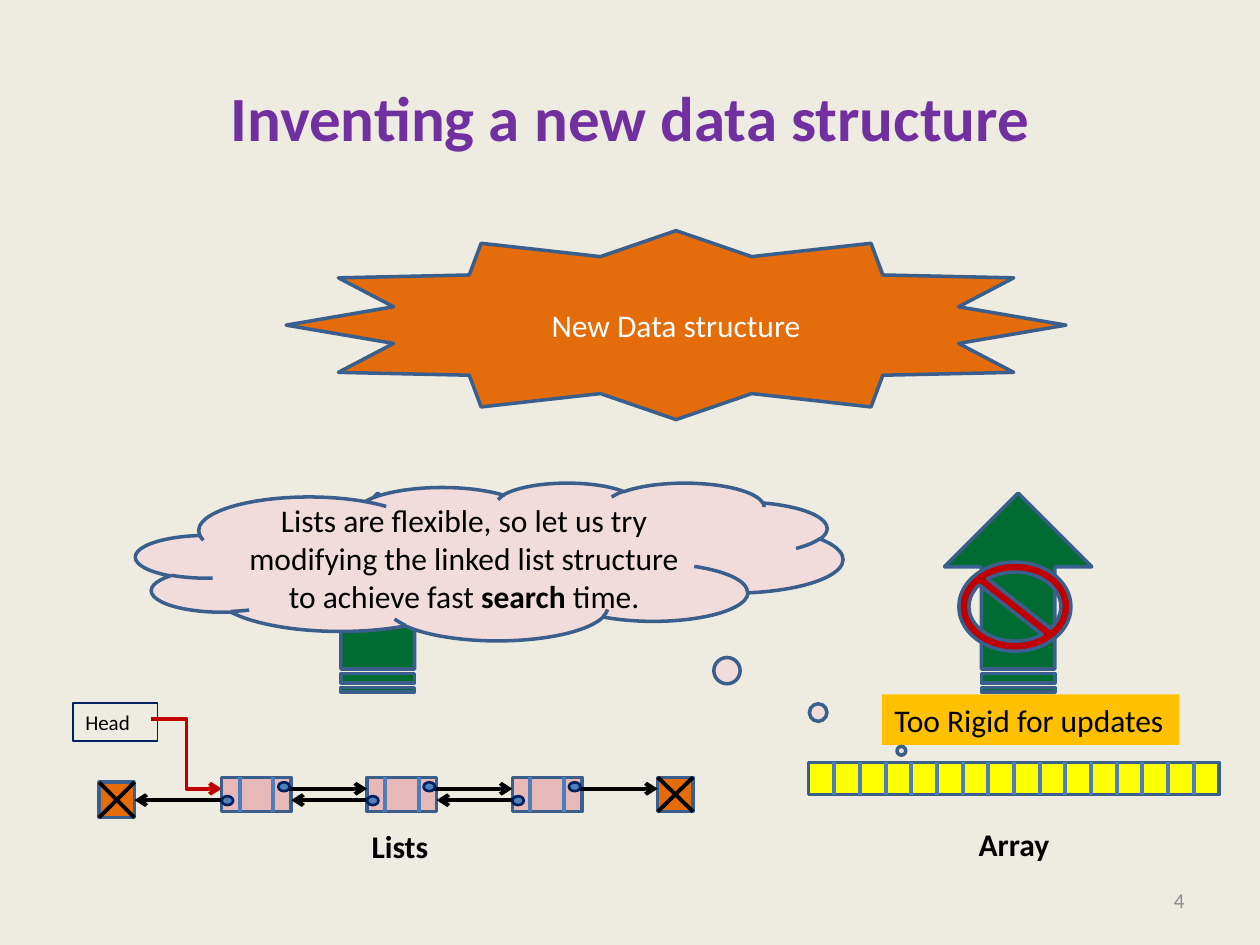
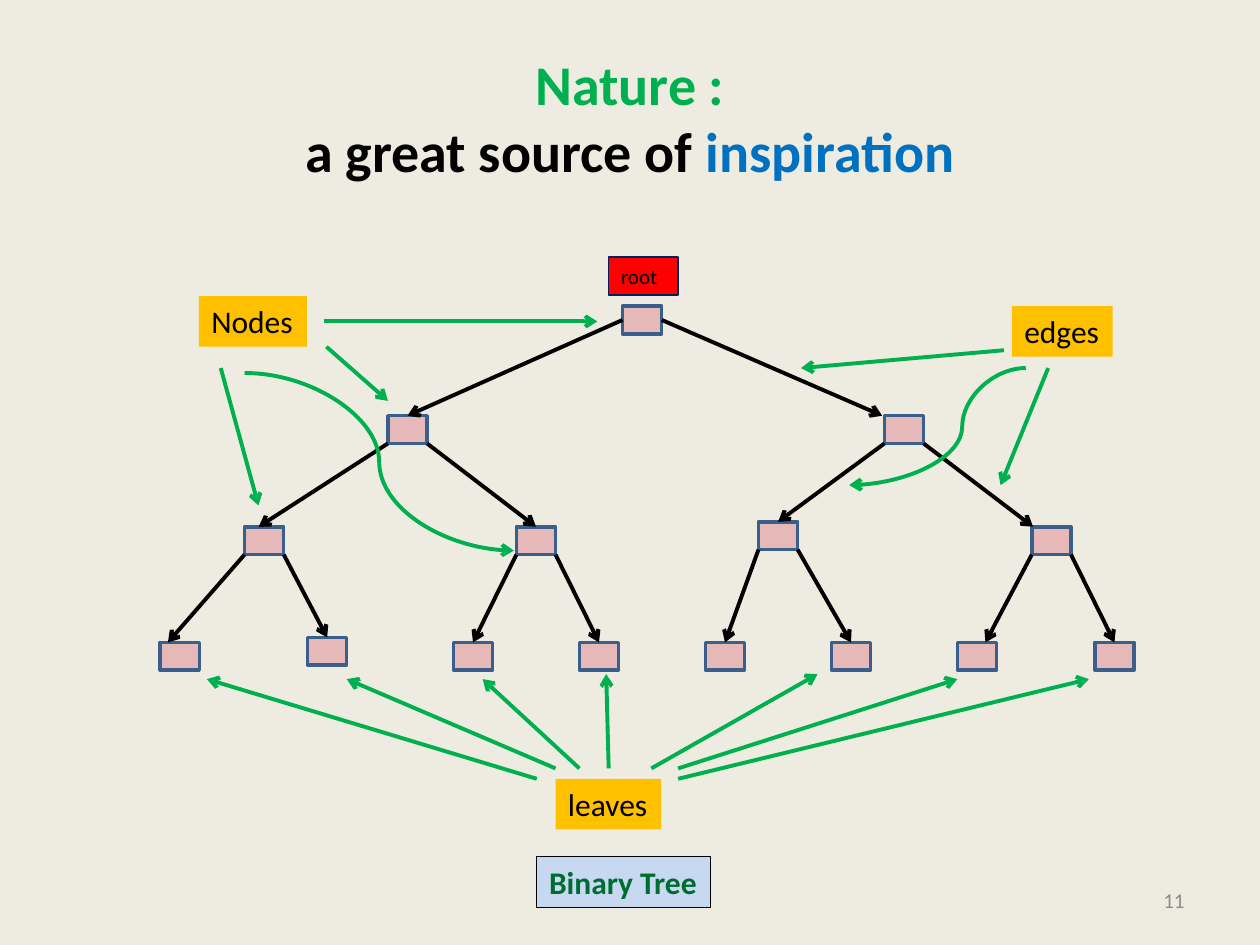
from dataclasses import dataclass
from typing import Any, NamedTuple, Optional

from pptx import Presentation
from pptx.dml.color import RGBColor
from pptx.enum.shapes import MSO_CONNECTOR, MSO_SHAPE
from pptx.enum.text import MSO_ANCHOR, MSO_AUTO_SIZE, PP_ALIGN
from pptx.oxml.ns import qn
from pptx.util import Cm, Pt
from lxml.etree import SubElement


@dataclass(frozen=True)
class Theme:
    font: str = "Calibri"
    background: str = "EEECE1"
    black: str = "000000"
    white: str = "FFFFFF"
    purple: str = "7030A0"
    green: str = "00B050"
    dark_green: str = "006C31"
    blue: str = "0070C0"
    light_blue: str = "C6D9F1"
    dot_blue: str = "4F81BD"
    divider: str = "4B7EBC"
    outline: str = "3A5F8C"
    navy: str = "002060"
    grey: str = "8C8C8C"
    orange: str = "E46C0A"
    amber: str = "FFC000"
    yellow: str = "FFFF00"
    red: str = "FF0000"
    dark_red: str = "C00000"
    pink: str = "E6B9B8"
    pale_pink: str = "F2DCDB"
    title: float = 36
    title_small: float = 32
    body: float = 18
    small: float = 12
    arrow_width: float = 2.25
    outline_width: float = 2
    dot_width: float = 1.5
    thin: float = 0.75


T = Theme()


class Box(NamedTuple):
    """Left, top, width and height in centimetres."""
    x: float
    y: float
    w: float
    h: float


class Run(NamedTuple):
    text: str
    color: str = T.black
    size: float = T.body
    bold: bool = False


@dataclass
class Label:
    box: Box
    run: Run
    fill: Optional[str] = None
    line: Optional[str] = None


class Arrow(NamedTuple):
    """End points in centimetres; bend is set for a curved arrow."""
    x1: float
    y1: float
    x2: float
    y2: float
    bend: Optional[float] = None


class TreeNode(NamedTuple):
    """Corner of a node, and how far off its top middle the edge arrives."""
    x: float
    y: float
    shift: float = 0


def set_all(obj: Any, values: dict[str, Any]) -> None:
    for name, value in values.items():
        setattr(obj, name, value)


def rgb(color: str) -> RGBColor:
    return RGBColor.from_string(color)


def cm(*values: float) -> list[Cm]:
    return [Cm(v) for v in values]


def add_runs(p: Any, *runs: Run) -> None:
    for run in runs:
        r = p.add_run()
        r.text = run.text
        set_all(r.font, {"name": T.font, "size": Pt(run.size), "bold": run.bold})
        r.font.color.rgb = rgb(run.color)


def paint(sp: Any, fill: Optional[str], line: Optional[str], width: float) -> None:
    if fill:
        sp.fill.solid()
        sp.fill.fore_color.rgb = rgb(fill)
    else:
        sp.fill.background()
    if line:
        sp.line.color.rgb = rgb(line)
        sp.line.width = Pt(width)
    else:
        sp.line.fill.background()


def add_figure(s: Any, kind: MSO_SHAPE, box: Box, fill: str, runs: tuple[Run, ...] = (),
               line: str = T.outline, width: float = T.outline_width,
               adjust: tuple[float, ...] = (), rotation: float = 0) -> Any:
    sp = s.shapes.add_shape(kind, *cm(*box))
    set_all(sp, {"rotation": rotation})
    sp.shadow.inherit = False
    paint(sp, fill, line, width)
    for i, value in enumerate(adjust):
        sp.adjustments[i] = value
    if runs:
        tf = sp.text_frame
        set_all(tf, {"word_wrap": True, "vertical_anchor": MSO_ANCHOR.MIDDLE})
        tf.paragraphs[0].alignment = PP_ALIGN.CENTER
        add_runs(tf.paragraphs[0], *runs)
    return sp


def add_label(s: Any, label: Label) -> None:
    sp = s.shapes.add_textbox(*cm(*label.box))
    paint(sp, label.fill, label.line, T.thin)
    set_all(sp.text_frame, {"word_wrap": False, "auto_size": MSO_AUTO_SIZE.SHAPE_TO_FIT_TEXT})
    add_runs(sp.text_frame.paragraphs[0], label.run)


def add_line(s: Any, a: Arrow, color: str = T.black, head: bool = True,
             kind: MSO_CONNECTOR = MSO_CONNECTOR.STRAIGHT) -> Any:
    if a.bend is not None:
        kind = MSO_CONNECTOR.CURVE
    c = s.shapes.add_connector(kind, *cm(a.x1, a.y1, a.x2, a.y2))
    c.line.color.rgb = rgb(color)
    c.line.width = Pt(T.arrow_width)
    spPr = c._element.spPr
    if head:
        SubElement(spPr.find(qn("a:ln")), qn("a:tailEnd"), type="arrow")
    if a.bend is not None:
        guides = spPr.find(qn("a:prstGeom")).get_or_add_avLst()
        SubElement(guides, qn("a:gd"), name="adj1", fmla=f"val {round(a.bend * 100000)}")
    SubElement(spPr, qn("a:effectLst"))
    return c


def add_slide(prs: Any, number: str, *title_lines: tuple[Run, ...]) -> Any:
    s = prs.slides.add_slide(prs.slide_layouts[5])
    title = s.shapes.title
    left, top, width, height = cm(1.27, 0.76, 22.86, 3.18)
    set_all(title, {"left": left, "top": top, "width": width, "height": height})
    title.text_frame.vertical_anchor = MSO_ANCHOR.MIDDLE
    p = title.text_frame.paragraphs[0]
    p.alignment = PP_ALIGN.CENTER
    for i, runs in enumerate(title_lines):
        if i:
            p.add_line_break()
        add_runs(p, *runs)

    tf = s.shapes.add_textbox(*cm(18.2, 17.65, 5.93, 1.01)).text_frame
    set_all(tf, {"word_wrap": True, "vertical_anchor": MSO_ANCHOR.MIDDLE})
    tf.paragraphs[0].alignment = PP_ALIGN.RIGHT
    add_runs(tf.paragraphs[0], Run(number, T.grey, T.small))
    return s


def draw_array(s: Any) -> None:
    box, cells = Box(16.3, 15.37, 8.28, 0.65), 16
    add_figure(s, MSO_SHAPE.RECTANGLE, box, T.yellow)
    for i in range(1, cells):
        x = box.x + i * box.w / cells
        add_line(s, Arrow(x, box.y, x, box.y + box.h), T.divider, head=False)
    add_label(s, Label(Box(19.48, 16.51, 1.96, 1.02), Run("Array", bold=True)))


def draw_linked_list(s: Any) -> None:
    top, width, height, pitch = 15.67, 1.4, 0.69, 2.93
    next_y, prev_y = 15.9, 16.13
    starts = [4.47 + pitch * i for i in range(3)]
    ends = [Box(2, 15.77, 0.71, 0.71), Box(starts[-1] + pitch, top, 0.71, height)]

    add_line(s, Arrow(3.05, 14.5, starts[0], next_y), T.dark_red, kind=MSO_CONNECTOR.ELBOW)
    add_label(s, Label(Box(1.47, 14.17, 1.7, 0.77), Run("Head", size=T.small), line=T.navy))
    for x in starts:
        add_figure(s, MSO_SHAPE.RECTANGLE, Box(x, top, width, height), T.pink)
        for dx in (0.36, 1.04):
            add_line(s, Arrow(x + dx, top, x + dx, top + height), T.divider, head=False)
    for b in ends:
        add_figure(s, MSO_SHAPE.RECTANGLE, b, T.orange)
        add_line(s, Arrow(b.x, b.y, b.x + b.w, b.y + b.h), head=False)
        add_line(s, Arrow(b.x + b.w, b.y, b.x, b.y + b.h), head=False)
    for x in starts:
        prev_end = ends[0].x + ends[0].w if x == starts[0] else x - pitch + width
        add_line(s, Arrow(x + 1.17, next_y, x + pitch, next_y))
        add_line(s, Arrow(x + 0.09, prev_y, prev_end, prev_y))
        for dx, y in ((1.14, 15.77), (0, 16.05)):
            add_figure(s, MSO_SHAPE.OVAL, Box(x + dx, y, 0.23, 0.18), T.dot_blue,
                       line=T.navy, width=T.dot_width)
    add_label(s, Label(Box(7.24, 16.54, 1.65, 1.02), Run("Lists", bold=True)))


def build_invention(prs: Any) -> None:
    s = add_slide(prs, "4", (Run("Inventing a new data structure", T.purple, T.title, True),))
    draw_array(s)
    draw_linked_list(s)
    for x in (18.52, 5.61):
        add_figure(s, MSO_SHAPE.STRIPED_RIGHT_ARROW, Box(x, 10.46, 4.01, 2.97),
                   T.dark_green, rotation=270)
    add_figure(s, MSO_SHAPE.STAR_12_POINT, Box(5.77, 4.65, 15.72, 3.81), T.orange,
               (Run("New Data structure", T.white),))
    add_figure(s, MSO_SHAPE.NO_SYMBOL, Box(19.33, 11.33, 2.26, 1.8), T.dark_red, adjust=(0.113,))
    add_label(s, Label(Box(17.78, 14, 5.99, 1.02), Run("Too Rigid for updates"), T.amber))
    thought = (
        Run("Lists are flexible, so let us try modifying the linked list structure "
            "to achieve fast "),
        Run("search", bold=True),
        Run(" time."),
    )
    add_figure(s, MSO_SHAPE.CLOUD_CALLOUT, Box(2.74, 9.73, 14.25, 3.18), T.pale_pink,
               thought, adjust=(0.583, 1.2))


# Level by level: the parent of node i is node (i - 1) // 2.
TREE = [
    TreeNode(12.55, 6.17),
    TreeNode(7.82, 8.38), TreeNode(17.83, 8.38, -0.44),
    TreeNode(4.93, 10.62, -0.11), TreeNode(10.41, 10.62),
    TreeNode(15.29, 10.52), TreeNode(20.8, 10.62, -0.37),
    TreeNode(3.23, 12.95, -0.24), TreeNode(6.2, 12.85),
    TreeNode(9.14, 12.95), TreeNode(11.68, 12.95),
    TreeNode(14.22, 12.95), TreeNode(16.76, 12.95),
    TreeNode(19.3, 12.95, 0.17), TreeNode(22.07, 12.95),
]

POINTERS = [
    # leaves
    Arrow(13.67, 15.49, 19.3, 13.69), Arrow(12.27, 15.49, 12.22, 13.59),
    Arrow(11.2, 15.49, 6.99, 13.69), Arrow(13.13, 15.49, 16.48, 13.59),
    Arrow(11.68, 15.49, 9.73, 13.69), Arrow(10.82, 15.7, 4.17, 13.69),
    Arrow(13.67, 15.7, 21.95, 13.69),
    # edges
    Arrow(20.24, 7.06, 16.15, 7.42), Arrow(21.13, 7.42, 20.17, 9.78),
    Arrow(20.68, 7.42, 17.12, 9.78, bend=0.36),
    # nodes
    Arrow(6.53, 6.48, 12.04, 6.48), Arrow(4.93, 7.52, 10.36, 11.1, bend=0.5),
    Arrow(6.58, 6.99, 7.82, 8.08), Arrow(4.45, 7.42, 5.21, 10.19),
]

TREE_LABELS = [
    Label(Box(12.27, 5.18, 1.4, 0.77), Run("root", size=T.small), T.red, T.navy),
    Label(Box(11.2, 15.7, 2.13, 1.02), Run("leaves"), T.amber),
    Label(Box(20.4, 6.17, 2.03, 1.02), Run("edges"), T.amber),
    Label(Box(4.01, 5.97, 2.18, 1.02), Run("Nodes"), T.amber),
    Label(Box(10.82, 17.27, 3.51, 1.02), Run("Binary Tree", T.dark_green, bold=True),
          T.light_blue, T.black),
]


def draw_tree(s: Any) -> None:
    width, height = 0.79, 0.56
    shapes = [add_figure(s, MSO_SHAPE.RECTANGLE, Box(n.x, n.y, width, height), T.pink)
              for n in TREE]
    for i, node in enumerate(TREE[1:], start=1):
        up, is_left = (i - 1) // 2, i % 2 == 1
        parent = TREE[up]
        x = parent.x if is_left else parent.x + width
        c = add_line(s, Arrow(x, parent.y + height, node.x + width / 2 + node.shift, node.y))
        if up == 0:
            c.begin_connect(shapes[0], 1 if is_left else 3)
        if node.shift == 0:
            c.end_connect(shapes[i], 0)


def build_binary_tree(prs: Any) -> None:
    s = add_slide(
        prs, "11",
        (Run("Nature :", T.green, T.title_small, True),),
        (Run("a great source of ", T.black, T.title_small, True),
         Run("inspiration", T.blue, T.title_small, True)))
    draw_tree(s)
    for pointer in POINTERS:
        add_line(s, pointer, T.green)
    for label in TREE_LABELS:
        add_label(s, label)


def main() -> None:
    prs = Presentation()
    set_all(prs, {"slide_width": Cm(25.4), "slide_height": Cm(19.05)})
    fill = prs.slide_master.background.fill
    fill.solid()
    fill.fore_color.rgb = rgb(T.background)
    build_invention(prs)
    build_binary_tree(prs)
    prs.save("out.pptx")


if __name__ == "__main__":
    main()
